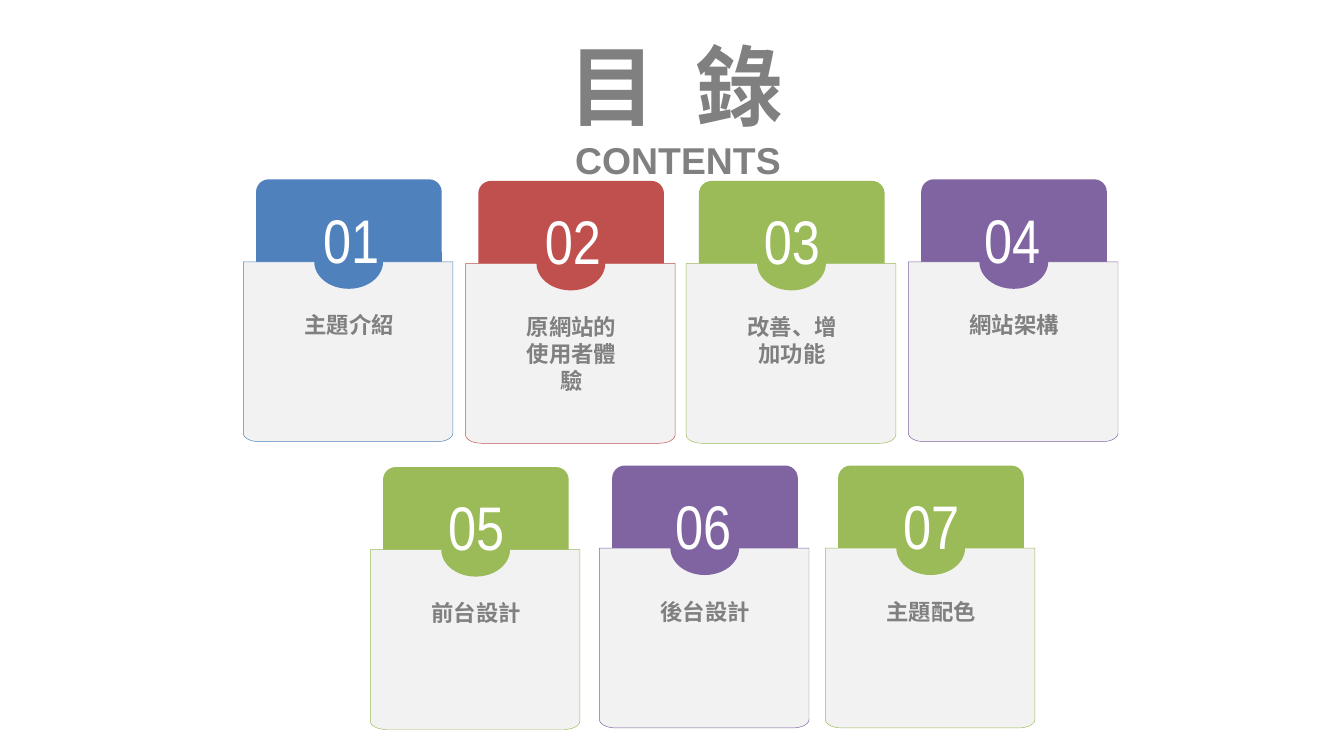
"""Build a contents slide with seven numbered folder cards."""
from dataclasses import dataclass
from math import cos, pi, sin

from lxml.etree import SubElement as Sub
from pptx import Presentation as Deck
from pptx.dml.color import RGBColor as Rgb
from pptx.enum.shapes import MSO_SHAPE as Kind
from pptx.enum.text import MSO_ANCHOR as Anchor, PP_ALIGN as Align
from pptx.oxml.ns import qn
from pptx.util import Cm, Pt


@dataclass(frozen=True)
class Theme:
    """Colours, fonts and type sizes of the slide."""
    blue: str = "4F81BD"
    red: str = "C0504D"
    green: str = "9BBB59"
    violet: str = "8064A2"
    paper: str = "F2F2F2"
    grey: str = "808080"
    white: str = "FFFFFF"
    sans: str = "Arial"
    slim: str = "Arial Narrow"
    han: str = "Noto Sans CJK SC"
    title: float = 47
    sub: float = 20
    digit: float = 33
    label: float = 12


class Page:
    """Style and current slide, with a method for each kind of element."""

    def __init__(self, slide, theme):
        """Keep the slide and its theme."""
        self.slide, self.theme = slide, theme

    def paint(self, shape, fill, edge=None):
        """Fill a shape and set its outline."""
        shape.shadow.inherit = False
        shape.fill.solid()
        shape.fill.fore_color.rgb = Rgb.from_string(fill)
        if edge:
            shape.line.color.rgb = Rgb.from_string(edge)
            shape.line.width = Pt(0.25)
        else:
            shape.line.fill.background()

    def block(self, home, kind, box, fill):
        """Add a filled preset shape."""
        shape = home.add_shape(kind, *map(Cm, box))
        self.paint(shape, fill)
        return shape

    def sheet(self, home, left, top, edge):
        """Add the card body with rounded lower corners."""
        wide, high, rx, ry = 3.96, 3.4, 0.3, 0.16
        turns = [step * pi / 16 for step in range(9)]
        right = [(wide - rx + rx * cos(t), high - ry + ry * sin(t)) for t in turns]
        mirror = [(wide - x, y) for x, y in reversed(right)]
        dots = [(wide, 0)] + right + mirror
        path = home.build_freeform(Cm(left), Cm(top))
        path.add_line_segments([(Cm(left + x), Cm(top + y)) for x, y in dots])
        self.paint(path.convert_to_shape(), self.theme.paper, edge)

    def text(self, home, words, box, size, color, face, bold=False,
             pad=(0, 0), lead=None, anchor=Anchor.TOP):
        """Add a centred text box."""
        frame = home.add_textbox(*map(Cm, box)).text_frame
        side, rim = map(Cm, pad)
        para = frame.paragraphs[0]
        run = para.add_run()
        run.text = words
        looks = {
            frame: {"word_wrap": True, "vertical_anchor": anchor,
                    "margin_left": side, "margin_right": side,
                    "margin_top": rim, "margin_bottom": rim},
            para: {"alignment": Align.CENTER, "line_spacing": lead},
            run.font: {"size": Pt(size), "name": face, "bold": bold},
        }
        for item, look in looks.items():
            for key, value in look.items():
                setattr(item, key, value)
        run.font.color.rgb = Rgb.from_string(color)
        Sub(run.font._element, qn("a:ea"), typeface=self.theme.han)

    def card(self, digit, label, left, top, color, mid, wide):
        """Add one grouped folder card."""
        look = self.theme
        home = self.slide.shapes.add_group_shape().shapes
        tab = self.block(home, Kind.ROUNDED_RECTANGLE,
                         (left + 0.24, top - 1.56, 3.51, 2.57), color)
        tab.adjustments[0] = 0.093
        self.sheet(home, left, top, color)
        self.block(home, Kind.OVAL, (left + 1.34, top - 0.51, 1.3, 1.02), color)
        pad = (0.2, 0.1)
        self.text(home, digit, (left + mid - 1, top - 1.24, 2, 1.57),
                  look.digit, look.white, look.slim, pad=pad)
        self.text(home, label, (left + 2 - wide / 2, top + 0.84, wide, 0.69),
                  look.label, look.grey, look.han, True, pad, Pt(14.4))


def main():
    """Build and save the slide."""
    look = Theme()
    deck = Deck()
    deck.slide_width, deck.slide_height = Cm(25.4), Cm(14.29)
    page = Page(deck.slides.add_slide(deck.slide_layouts[6]), look)
    cards = [
        ("主題介紹", 4.6, 4.95, look.blue, 2.04, 2.39),
        ("原網站的使用者體驗", 8.8, 4.98, look.red, 2.03, 2.39),
        ("改善、增加功能", 12.97, 4.98, look.green, 2, 2.39),
        ("網站架構", 17.17, 4.95, look.violet, 1.96, 3.18),
        ("前台設計", 7, 10.39, look.green, 2, 2.39),
        ("後台設計", 11.33, 10.36, look.violet, 1.96, 3.18),
        ("主題配色", 15.6, 10.36, look.green, 2, 2.39),
    ]
    for rank, card in enumerate(cards, 1):
        page.card(f"{rank:02}", *card)
    home = page.slide.shapes
    page.text(home, "目  錄", (9.93, 0.61, 5.69, 1.98), look.title,
              look.grey, look.sans, True, anchor=Anchor.MIDDLE)
    page.text(home, "CONTENTS", (10.01, 2.59, 5.61, 0.84), look.sub,
              look.grey, look.sans, True)
    deck.save("out.pptx")


if __name__ == "__main__":
    main()
